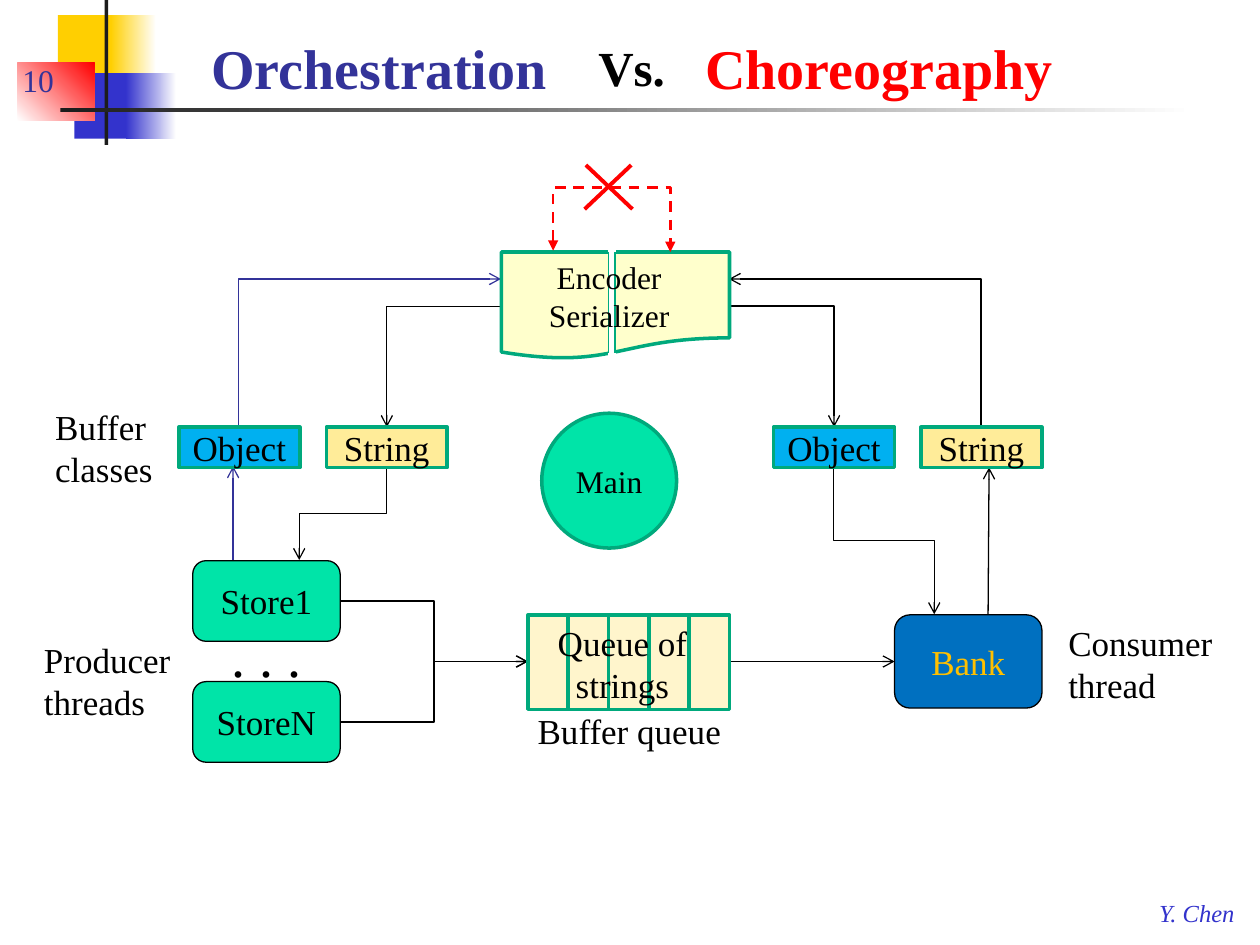
from lxml import etree
from pptx import Presentation
from pptx import util as u
from pptx.dml.color import RGBColor
from pptx.enum import dml, shapes, text
from pptx.oxml.ns import qn

Inches = u.Inches
Kind = shapes.MSO_SHAPE
FONT = "Times New Roman"
BLACK, WHITE, RED = "000000", "FFFFFF", "FF0000"
YELLOW, BLUE, NAVY, DARK = "FFCF01", "3333CC", "333399", "1C1C1C"
GREEN, EDGE, SAND, CREAM = "00E4A8", "00A97C", "FFEC99", "FFF5CC"


def color(value):
    return RGBColor.from_string(value)


def write(shape, content, size=20, ink=BLACK, bold=False, italic=False, align="LEFT", anchor="TOP", wrap=False):
    frame = shape.text_frame
    frame.word_wrap = wrap
    frame.vertical_anchor = text.MSO_ANCHOR[anchor]
    frame.text = content
    for paragraph in frame.paragraphs:
        paragraph.alignment = text.PP_ALIGN[align]
        font = paragraph.font
        font.name, font.size, font.bold, font.italic = FONT, u.Pt(size), bold, italic
        font.color.rgb = color(ink)


presentation = Presentation()
presentation.slide_width, presentation.slide_height = Inches(10), Inches(7.5)
slide = presentation.slides.add_slide(presentation.slide_layouts[6])
canvas = slide.shapes

decorations = [
    (0.46, 0.12, 0.48, 0.52, YELLOW, None, 0),
    (0.88, 0.12, 0.36, 0.52, YELLOW, WHITE, 0),
    (0.59, 0.58, 0.46, 0.52, BLUE, None, 0),
    (1, 0.58, 0.4, 0.52, BLUE, WHITE, 0),
    (0.14, 0.5, 0.61, 0.46, WHITE, RED, 45),
    (0.83, 0, 0.03, 1.15, DARK, None, 0),
    (0.48, 0.86, 9, 0.03, DARK, WHITE, 0),
]
for left, top, width, height, start, end, angle in decorations:
    shape = canvas.add_shape(Kind.RECTANGLE, Inches(left), Inches(top), Inches(width), Inches(height))
    shape.shadow.inherit = False
    shape.line.fill.background()
    if end:
        shape.fill.gradient()
        shape.fill.gradient_angle = angle
        for stop, value in zip(shape.fill.gradient_stops, (start, end)):
            stop.color.rgb = color(value)
    else:
        shape.fill.solid()
        shape.fill.fore_color.rgb = color(start)

straight_lines = [
    (1.85, 4.98, 1.85, 3.7, NAVY, 0.75, True),
    (7.84, 5.19, 7.85, 3.71, BLACK, 0.75, True),
    (5.79, 5.25, 7.1, 5.25, BLACK, 0.75, True),
    (4.65, 1.31, 5.02, 1.66, RED, 2.25, False),
    (5.01, 1.31, 4.64, 1.66, RED, 2.25, False),
]
bent_lines = [
    (2.35, 1.76, 1.17, 2.08, 90, "hv", 2, NAVY),
    (3.07, 2.43, 0.9, 0.96, 180, "v", 2, BLACK),
    (2.35, 3.73, 0.74, 0.69, 90, "", 3, BLACK),
    (2.7, 4.77, 1.49, 0.48, 0, "", 3, BLACK),
    (2.7, 5.25, 1.49, 0.48, 0, "v", 3, BLACK),
    (6.2, 1.8, 1.17, 2, 270, "v", 2, BLACK),
    (5.79, 2.43, 0.83, 0.96, 0, "", 2, BLACK),
    (6.43, 3.89, 1.17, 0.8, 270, "h", 3, BLACK),
]
connectors = []
for x1, y1, x2, y2, ink, weight, arrow in straight_lines:
    line = canvas.add_connector(shapes.MSO_CONNECTOR.STRAIGHT, Inches(x1), Inches(y1), Inches(x2), Inches(y2))
    connectors.append((line, ink, weight, arrow))
for left, top, width, height, turn, flips, bends, ink in bent_lines:
    line = canvas.add_connector(
        shapes.MSO_CONNECTOR.ELBOW, Inches(left), Inches(top), Inches(left + width), Inches(top + height))
    properties = line._element.spPr
    frame = properties.find(qn("a:xfrm"))
    frame.set("rot", str(turn * 60000))
    for flip in flips:
        frame.set("flip" + flip.upper(), "1")
    properties.find(qn("a:prstGeom")).set("prst", f"bentConnector{bends}")
    connectors.append((line, ink, 0.75, True))
for line, ink, weight, arrow in connectors:
    line.line.color.rgb = color(ink)
    line.line.width = u.Pt(weight)
    if arrow:
        etree.SubElement(line.line._get_or_add_ln(), qn("a:tailEnd"), type="arrow")
    etree.SubElement(line._element.spPr, qn("a:effectLst"))

ROUNDED, BOX = Kind.FLOWCHART_ALTERNATE_PROCESS, Kind.FLOWCHART_PROCESS
nodes = [
    (ROUNDED, 1.53, 4.45, 1.17, 0.64, GREEN, BLACK, 0.75, "Store1", 20, BLACK),
    (ROUNDED, 1.53, 5.41, 1.17, 0.64, GREEN, BLACK, 0.75, "StoreN", 20, BLACK),
    (ROUNDED, 7.1, 4.88, 1.17, 0.74, "0070C0", BLACK, 0.75, "Bank", 20, "FFC000"),
    (Kind.FLOWCHART_DOCUMENT, 3.98, 2, 1.81, 0.85, "FFFFCC", EDGE, 2, "", 18, BLACK),
    (Kind.OVAL, 4.3, 3.28, 1.07, 1.07, GREEN, EDGE, 2, "Main", 18, BLACK),
    (Kind.RECTANGLE, 4.83, 1.83, 0.05, 1.02, WHITE, WHITE, 1, "", 18, BLACK),
]
for left in (1.42, 6.14):
    nodes.append((BOX, left, 3.39, 0.96, 0.32, "00B0F0", EDGE, 2, "Object", 20, BLACK))
    nodes.append((BOX, left + 1.17, 3.39, 0.96, 0.32, SAND, EDGE, 2, "String", 20, BLACK))
for slot in range(5):
    nodes.append((Kind.RECTANGLE, 4.19 + 0.32 * slot, 4.88, 0.32, 0.75, CREAM, EDGE, 2, "", 20, BLACK))
for kind, left, top, width, height, fill, edge, weight, label, size, ink in nodes:
    shape = canvas.add_shape(kind, Inches(left), Inches(top), Inches(width), Inches(height))
    shape.shadow.inherit = False
    shape.fill.solid()
    shape.fill.fore_color.rgb = color(fill)
    shape.line.color.rgb = color(edge)
    shape.line.width = u.Pt(weight)
    if label:
        write(shape, label, size=size, ink=ink, align="CENTER", anchor="MIDDLE", wrap=kind != ROUNDED)

for x in (4.83, 4.88):
    fold = canvas.add_connector(shapes.MSO_CONNECTOR.STRAIGHT, Inches(x), Inches(2), Inches(x), Inches(2.8))
    fold.line.color.rgb = color("00AB7E")
    fold.line.width = u.Pt(1)
    etree.SubElement(fold._element.spPr, qn("a:effectLst"))

builder = canvas.build_freeform(Inches(4.39), Inches(1.99))
builder.add_line_segments([(Inches(x), Inches(y)) for x, y in ((4.39, 1.49), (5.32, 1.49), (5.32, 2))], close=False)
blocked_route = builder.convert_to_shape()
blocked_route.shadow.inherit = False
blocked_route.fill.background()
blocked_route.line.color.rgb = color(RED)
blocked_route.line.width = u.Pt(1.5)
blocked_route.line.dash_style = dml.MSO_LINE.DASH
for end in ("a:headEnd", "a:tailEnd"):
    etree.SubElement(blocked_route.line._get_or_add_ln(), qn(end), type="triangle")

heading = dict(size=32, bold=True, anchor="BOTTOM", wrap=True)
labels = [
    (1.58, 0.17, 2.93, 0.68, "Orchestration", dict(heading, ink=NAVY)),
    (4.65, 0.25, 0.74, 0.57, "Vs.", dict(size=28, bold=True)),
    (5.5, 0.17, 3.41, 0.68, "Choreography", dict(heading, ink=RED)),
    (0.08, 0.33, 0.78, 0.5, "10", dict(size=18, ink=NAVY, anchor="BOTTOM", wrap=True)),
    (9.1, 7.08, 0.82, 0.33, "Y. Chen", dict(size=14, ink=BLUE, italic=True)),
    (4.25, 2, 1.17, 0.71, "Encoder\nSerializer", dict(size=18, align="CENTER")),
    (4.3, 4.88, 1.28, 0.77, "Queue of strings", dict(align="CENTER", wrap=True)),
    (4.16, 5.58, 1.67, 0.44, "Buffer queue", dict(align="CENTER")),
    (1.74, 4.88, 0.76, 0.64, ". . .", dict(size=32)),
    (0.34, 3.17, 1, 0.77, "Buffer\nclasses", {}),
    (0.25, 5.02, 1.21, 0.77, "Producer\nthreads", {}),
    (8.38, 4.88, 1.35, 0.77, "Consumer\nthread", {}),
]
for left, top, width, height, content, style in labels:
    box = canvas.add_textbox(Inches(left), Inches(top), Inches(width), Inches(height))
    write(box, content, **style)

presentation.save("out.pptx")
